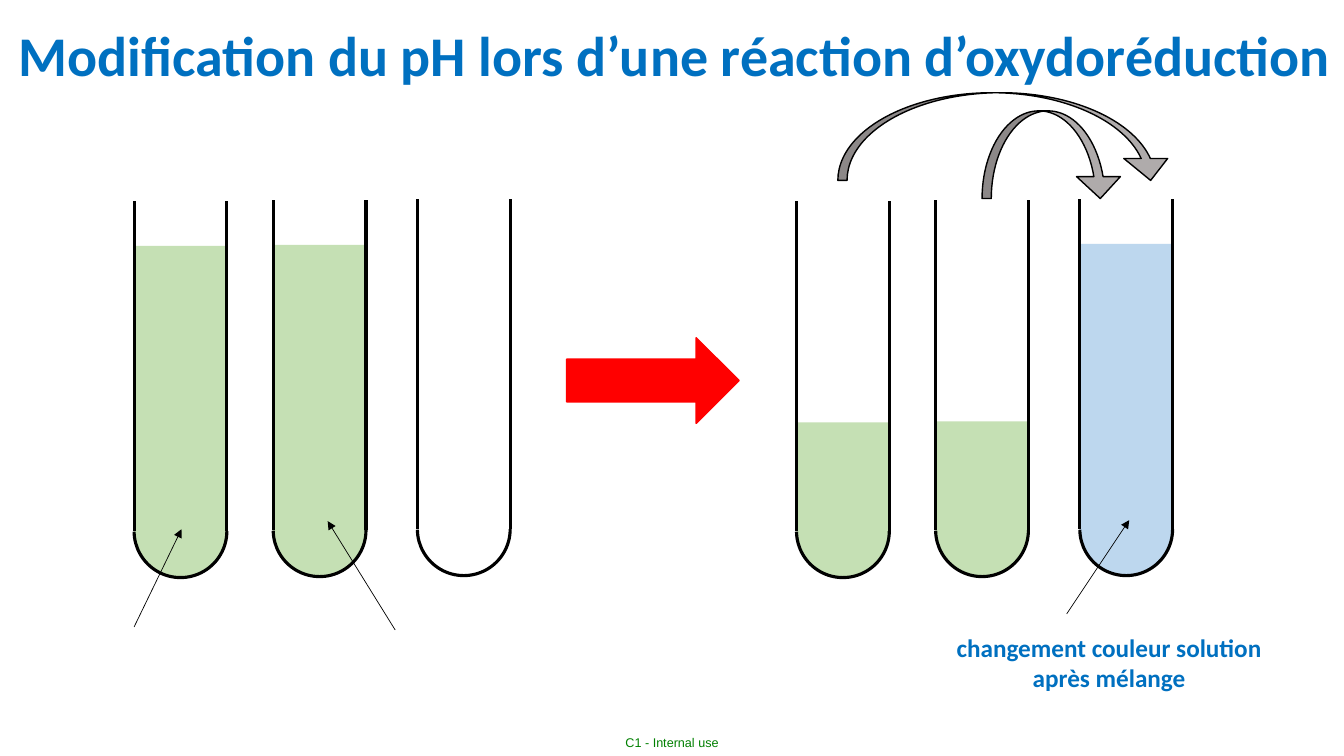
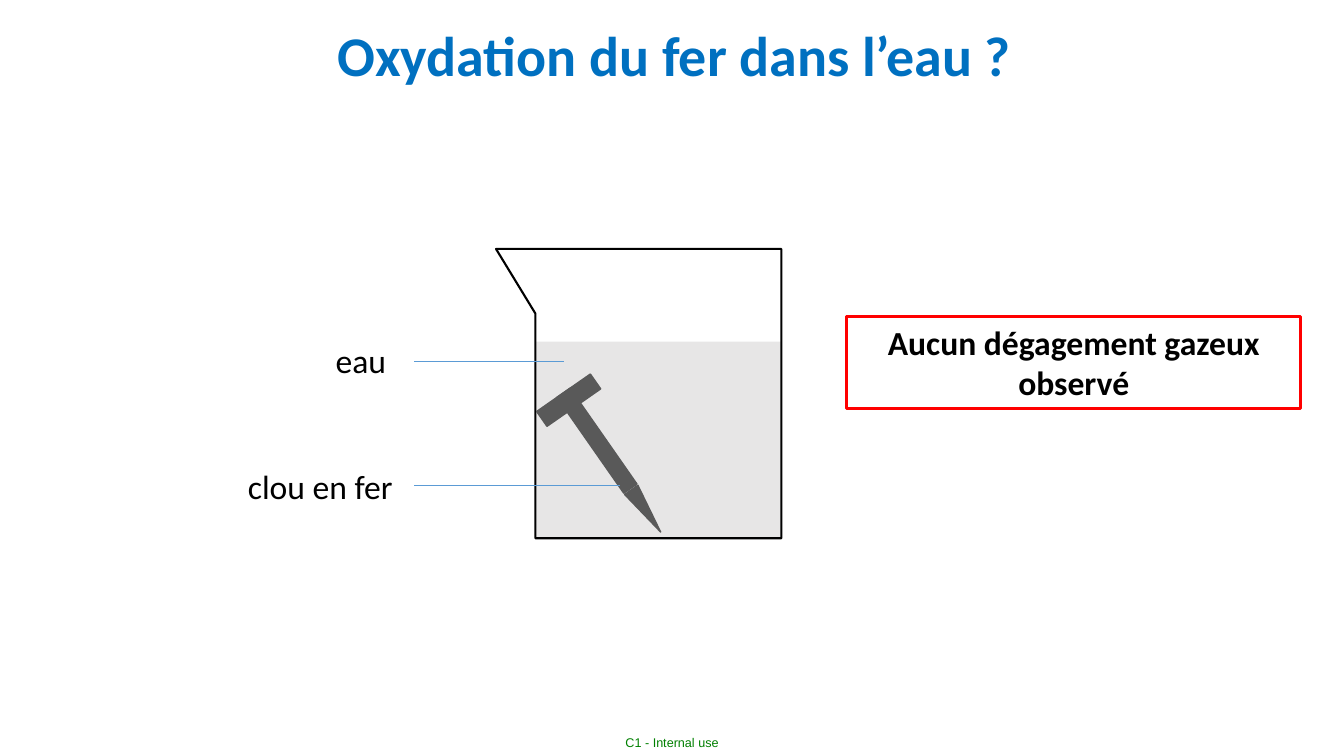
from math import cos, radians, sin

from pptx import Presentation
from pptx.dml.color import RGBColor
from pptx.enum.shapes import MSO_CONNECTOR, MSO_SHAPE
from pptx.enum.text import MSO_ANCHOR, PP_ALIGN
from pptx.oxml.ns import qn
from pptx.util import Inches, Pt
from lxml.etree import SubElement

BLUE, BLACK, RED = "0070C0", "000000", "FF0000"
FOOTER_GREEN, LABEL_BLUE = "008000", "5B9BD5"
GREEN_LIQUID, BLUE_LIQUID = "C5E0B4", "BDD7EE"
WATER, IRON, ARROW_GREY = "E7E6E6", "595959", "AFABAB"


def color(hex_code):
    return RGBColor.from_string(hex_code)


def paint(shape, fill=None, line=None, weight=1):
    shape.shadow.inherit = False
    if fill:
        shape.fill.solid()
        shape.fill.fore_color.rgb = color(fill)
    else:
        shape.fill.background()
    if line:
        shape.line.color.rgb = color(line)
        shape.line.width = Pt(weight)
    else:
        shape.line.fill.background()


def add_preset(slide, preset, box, fill=None, line=None, weight=1, rotation=0, adjust=()):
    shape = slide.shapes.add_shape(preset, *map(Inches, box))
    paint(shape, fill, line, weight)
    shape.rotation = rotation
    for index, value in enumerate(adjust):
        shape.adjustments[index] = value
    return shape


def add_line(slide, start, end, hex_code=BLACK, weight=0.5, arrow=False):
    line = slide.shapes.add_connector(MSO_CONNECTOR.STRAIGHT, *map(Inches, (*start, *end)))
    line.line.color.rgb = color(hex_code)
    line.line.width = Pt(weight)
    properties = line.element.spPr
    if arrow:
        SubElement(properties.find(qn("a:ln")), qn("a:tailEnd"), type="triangle")
    SubElement(properties, qn("a:effectLst"))


def add_text(slide, box, text, size, hex_code=BLACK, bold=False, font="Calibri",
             align=PP_ALIGN.CENTER):
    holder = slide.shapes.add_textbox(*map(Inches, box))
    holder.text_frame.word_wrap = True
    paragraph = holder.text_frame.paragraphs[0]
    paragraph.text = text
    paragraph.alignment = align
    paragraph.font.size = Pt(size)
    paragraph.font.name = font
    paragraph.font.bold = bold
    paragraph.font.color.rgb = color(hex_code)
    return holder


def add_titled_slide(deck, title):
    slide = deck.slides.add_slide(deck.slide_layouts[6])
    footer = add_text(slide, (6.04, 7.24, 1.25, 0.26), "C1 - Internal use", 9,
                      FOOTER_GREEN, font="Arial")
    frame = footer.text_frame
    frame.vertical_anchor = MSO_ANCHOR.MIDDLE
    frame.margin_left = frame.margin_right = frame.margin_top = frame.margin_bottom = 0
    add_text(slide, (0, 0.15, 13.38, 0.77), title, 40, BLUE, True)
    return slide


def add_tube(slide, left, top, liquid=None, level=0):
    width, wall = 0.92, 3.28
    bowl = (left, top + wall - width / 2, width, width)
    if liquid:
        add_preset(slide, MSO_SHAPE.RECTANGLE,
                   (left + 0.01, top + level, width - 0.01, wall - 0.1 - level), liquid)
        add_preset(slide, MSO_SHAPE.OVAL, bowl, liquid)
    add_preset(slide, MSO_SHAPE.ARC, bowl, line=BLACK, weight=2.25, rotation=90,
               adjust=(162, 53.607))
    for x in (left, left + width):
        add_line(slide, (x, top + wall), (x, top), weight=2.25)


def add_tube_rack(slide, left, top, contents):
    offsets = ((0, 0), (1.38, -0.01), (2.81, -0.02))
    for (dx, dy), content in zip(offsets, contents):
        add_tube(slide, left + dx, top + dy, *content)


def add_nail(slide, head_x, head_y, tilt):
    parts = (
        (MSO_SHAPE.RECTANGLE, 0, 0.65, 0.18),
        (MSO_SHAPE.RECTANGLE, 0.49, 0.16, 1.16),
        (MSO_SHAPE.ISOSCELES_TRIANGLE, 1.34, 0.16, 0.51),
    )
    for preset, distance, width, height in parts:
        x = head_x + distance * sin(radians(tilt))
        y = head_y + distance * cos(radians(tilt))
        add_preset(slide, preset, (x - width / 2, y - height / 2, width, height),
                   IRON, IRON, rotation=180 - tilt)


def add_beaker(slide, left, top, width, height):
    lip, lip_depth, water_depth = 0.39, 0.64, 1.95
    right, bottom, wall = left + width, top + height, left + lip
    add_preset(slide, MSO_SHAPE.RECTANGLE,
               (wall, bottom - water_depth, width - lip, water_depth), WATER)
    corners = ((right, top), (right, bottom), (wall, bottom), (wall, top + lip_depth))
    builder = slide.shapes.build_freeform(Inches(left), Inches(top))
    builder.add_line_segments([(Inches(x), Inches(y)) for x, y in corners], close=True)
    paint(builder.convert_to_shape(), line=BLACK, weight=1.5)
    add_nail(slide, left + 0.72, top + 1.5, 34.9)


def build_ph_slide(deck):
    slide = add_titled_slide(deck, "Modification du pH lors d’une réaction d’oxydoréduction")
    full, poured = (GREEN_LIQUID, 0.45), (GREEN_LIQUID, 2.2)
    add_tube_rack(slide, 1.33, 1.99, (full, full, ()))
    add_tube_rack(slide, 7.9, 1.99, (poured, poured, (BLUE_LIQUID, 0.45)))
    add_preset(slide, MSO_SHAPE.RIGHT_ARROW, (5.62, 3.35, 1.71, 0.85), RED, RED)
    for box in ((8.31, 0.92, 3.32, 0.87), (9.74, 1.1, 1.39, 0.87)):
        add_preset(slide, MSO_SHAPE.CURVED_DOWN_ARROW, box, ARROW_GREY, BLACK,
                   adjust=(0.105, 0.5, 0.25))
    pointers = (((1.33, 6.22), (1.8, 5.25)), ((3.92, 6.25), (3.25, 5.17)),
                ((10.58, 6.09), (11.2, 5.16)))
    for start, end in pointers:
        add_line(slide, start, end, arrow=True)
    add_text(slide, (9.29, 6.22, 3.42, 0.71), "changement couleur solution après mélange",
             18, BLUE, True)


def build_iron_slide(deck):
    slide = add_titled_slide(deck, "Oxydation du fer dans l’eau ?")
    add_beaker(slide, 4.92, 2.47, 2.83, 2.87)
    for y, end in ((3.59, 5.59), (4.82, 6.15)):
        add_line(slide, (4.11, y), (end, y), LABEL_BLUE)
    add_text(slide, (2.36, 4.57, 1.82, 0.5), "clou en fer", 24, align=PP_ALIGN.LEFT)
    add_text(slide, (2.21, 3.32, 2.74, 0.5), "eau", 24)
    finding = add_text(slide, (8.4, 3.14, 4.5, 0.91), "Aucun dégagement gazeux observé",
                       24, bold=True)
    paint(finding, line=RED, weight=2.25)


def main():
    deck = Presentation()
    deck.slide_width, deck.slide_height = Inches(13.33), Inches(7.5)
    build_ph_slide(deck)
    build_iron_slide(deck)
    deck.save("out.pptx")


if __name__ == "__main__":
    main()
